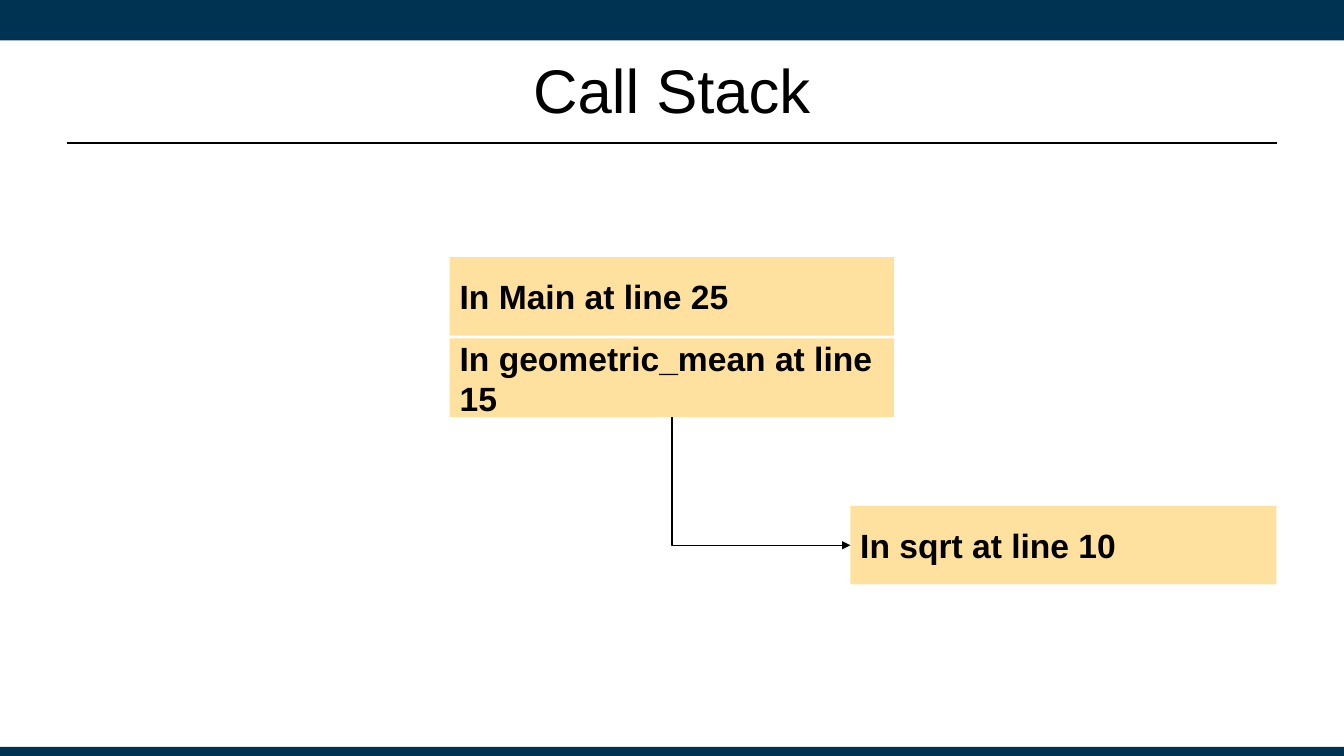
from dataclasses import dataclass

from lxml.etree import SubElement
from pptx import Presentation
from pptx.dml.color import RGBColor
from pptx.enum.shapes import MSO_CONNECTOR as CONN, MSO_SHAPE as SHAPE
from pptx.enum.text import MSO_ANCHOR as ANCHOR, PP_ALIGN as ALIGN
from pptx.oxml.ns import qn
from pptx.util import Cm, Pt

TITLE = "Call Stack"
STACK = ["In Main at line 25", "In geometric_mean at line 15"]
CALLEE = "In sqrt at line 10"


@dataclass(frozen=True)
class Theme:
    font: str = "Arial"
    ink: RGBColor = RGBColor(0x00, 0x00, 0x00)
    bar: RGBColor = RGBColor(0x00, 0x32, 0x52)
    frame: RGBColor = RGBColor(0xFF, 0xE1, 0x9F)
    title_size: Pt = Pt(44)
    frame_size: Pt = Pt(24)


T = Theme()
SLIDE_W, SLIDE_H = 33.87, 19.05
MARGIN = 1.7
RIGHT = SLIDE_W - MARGIN
TOP_BAR, BOTTOM_BAR = 1.02, 0.23
RULE_Y = 3.61
FRAME_H, FRAME_PITCH = 1.98, 2.05
STACK_W, STACK_TOP = 11.2, 6.48
CALLEE_W, CALLEE_TOP = 10.74, 12.75


def add_box(s, x, y, w, h, color):
    sp = s.shapes.add_shape(SHAPE.RECTANGLE, Cm(x), Cm(y), Cm(w), Cm(h))
    sp.shadow.inherit = False
    sp.fill.solid()
    sp.fill.fore_color.rgb = color
    sp.line.fill.background()
    return sp


def write(tf, text, size, align, bold=False):
    tf.word_wrap = True
    tf.vertical_anchor = ANCHOR.MIDDLE
    p = tf.paragraphs[0]
    p.alignment = align
    r = p.add_run()
    r.text = text
    r.font.name = T.font
    r.font.size = size
    r.font.bold = bold
    r.font.color.rgb = T.ink


def add_frame(s, text, x, y, w):
    sp = add_box(s, x, y, w, FRAME_H, T.frame)
    tf = sp.text_frame
    tf.margin_left = tf.margin_right = tf.margin_top = tf.margin_bottom = Cm(0.25)
    write(tf, text, T.frame_size, ALIGN.LEFT, True)
    return sp


def add_line(s, kind, x1, y1, x2, y2, width):
    c = s.shapes.add_connector(kind, x1, y1, x2, y2)
    c.line.color.rgb = T.ink
    c.line.width = width
    SubElement(c._element.spPr, qn("a:effectLst"))
    return c


def add_call_arrow(s, caller, callee):
    c = add_line(s, CONN.ELBOW, 0, 0, 0, 0, Pt(1))
    c.begin_connect(caller, 2)
    c.end_connect(callee, 1)
    x, y, w, h = c.left, c.top, c.width, c.height
    c.left, c.top = x + (w - h) // 2, y + (h - w) // 2
    c.width, c.height = h, w
    spPr = c._element.spPr
    xfrm = spPr.find(qn("a:xfrm"))
    xfrm.set("rot", "16200000")
    xfrm.set("flipH", "1")
    spPr.find(qn("a:prstGeom")).set("prst", "bentConnector2")
    SubElement(spPr.find(qn("a:ln")), qn("a:tailEnd"), type="triangle")


def main():
    prs = Presentation()
    prs.slide_width, prs.slide_height = Cm(SLIDE_W), Cm(SLIDE_H)
    s = prs.slides.add_slide(prs.slide_layouts[5])

    for y, h in [(0, TOP_BAR), (SLIDE_H - BOTTOM_BAR, BOTTOM_BAR)]:
        add_box(s, 0, y, SLIDE_W, h, T.bar)
    add_line(s, CONN.STRAIGHT, Cm(MARGIN), Cm(RULE_Y), Cm(RIGHT), Cm(RULE_Y), Pt(1.25))

    title = s.shapes.title
    title.left, title.top = Cm(MARGIN), Cm(0.64)
    title.width, title.height = Cm(RIGHT - MARGIN), Cm(3.18)
    write(title.text_frame, TITLE, T.title_size, ALIGN.CENTER)

    stack_x = (SLIDE_W - STACK_W) / 2
    frames = [
        add_frame(s, text, stack_x, STACK_TOP + i * FRAME_PITCH, STACK_W)
        for i, text in enumerate(STACK)
    ]
    callee = add_frame(s, CALLEE, RIGHT - CALLEE_W, CALLEE_TOP, CALLEE_W)
    add_call_arrow(s, frames[-1], callee)

    prs.save("out.pptx")


if __name__ == "__main__":
    main()
